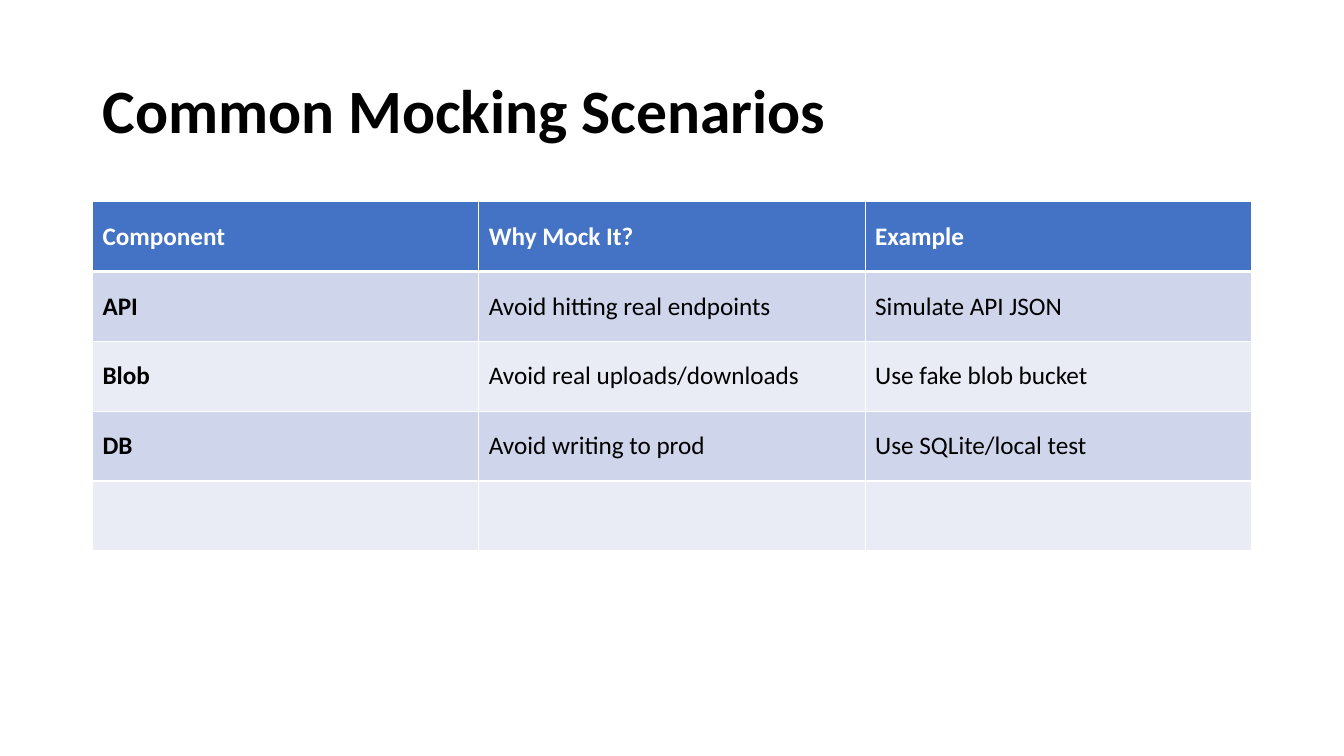
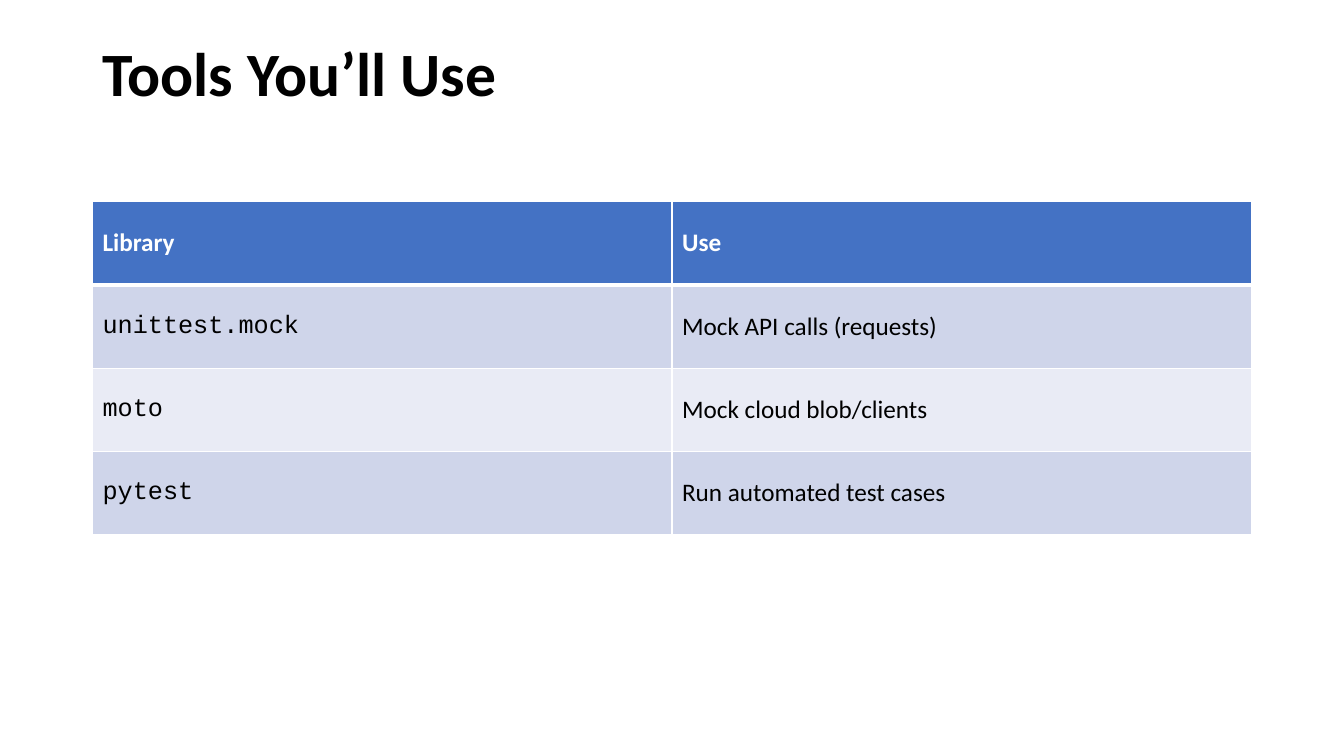
"""Build two slides on mocking: common scenarios and the tools to use."""
from dataclasses import dataclass

from lxml import etree
from pptx import Presentation
from pptx.dml.color import RGBColor
from pptx.enum.text import MSO_ANCHOR, MSO_AUTO_SIZE, PP_ALIGN
from pptx.oxml.ns import qn
from pptx.util import Cm, Pt

MIDDLE = MSO_ANCHOR.MIDDLE
NO_AUTOFIT = MSO_AUTO_SIZE.NONE
LEFT = PP_ALIGN.LEFT
TITLE_ONLY = 5


@dataclass(frozen=True)
class Theme:
    ink: str = "000000"
    paper: str = "FFFFFF"
    header: str = "4472C4"
    bands: tuple = ("CFD5EA", "E9EBF5")
    body_font: str = "Calibri"
    code_font: str = "Courier New"
    title_size: int = 44
    table_size: int = 18
    rule: int = 1
    header_rule: int = 3


THEME = Theme()
MARGIN = Cm(2.33)
CONTENT_WIDTH = Cm(29.21)
TITLE_BOX = {"left": MARGIN, "top": Cm(1.02), "width": CONTENT_WIDTH, "height": Cm(3.68)}
TABLE_TOP = Cm(5.08)

SLIDES = [
    {
        "title": "Common Mocking Scenarios",
        "title_inset": Cm(0.13),
        "row_height": Cm(1.76),
        "first_column": {"bold": True},
        "rows": [
            ("Component", "Why Mock It?", "Example"),
            ("API", "Avoid hitting real endpoints", "Simulate API JSON"),
            ("Blob", "Avoid real uploads/downloads", "Use fake blob bucket"),
            ("DB", "Avoid writing to prod", "Use SQLite/local test"),
            ("", "", ""),
        ],
    },
    {
        "title": "Tools You’ll Use",
        "title_inset": Cm(1.98),
        "row_height": Cm(2.1),
        "first_column": {"name": THEME.code_font},
        "rows": [
            ("Library", "Use"),
            ("unittest.mock", "Mock API calls (requests)"),
            ("moto", "Mock cloud blob/clients"),
            ("pytest", "Run automated test cases"),
        ],
    },
]


def apply_format(target, values):
    for attribute, value in values.items():
        setattr(target, attribute, value)


def add_borders(cell, widths):
    properties = cell._tc.get_or_add_tcPr()
    for side, width in widths.items():
        line = etree.SubElement(properties, qn(f"a:ln{side}"), w=str(Pt(width)))
        fill = etree.SubElement(line, qn("a:solidFill"))
        etree.SubElement(fill, qn("a:srgbClr"), val=THEME.paper)


deck = Presentation()
apply_format(deck, {"slide_width": Cm(33.87), "slide_height": Cm(19.05)})

for content in SLIDES:
    slide = deck.slides.add_slide(deck.slide_layouts[TITLE_ONLY])

    title = slide.shapes.title
    apply_format(title, TITLE_BOX)
    apply_format(title.text_frame, {
        "text": content["title"],
        "word_wrap": True,
        "auto_size": NO_AUTOFIT,
        "vertical_anchor": MIDDLE,
        "margin_bottom": content["title_inset"],
    })
    heading = title.text_frame.paragraphs[0]
    apply_format(heading, {"alignment": LEFT, "line_spacing": 0.9})
    heading_font = heading.runs[0].font
    apply_format(heading_font, {
        "name": THEME.body_font, "size": Pt(THEME.title_size), "bold": True,
    })
    heading_font.color.rgb = RGBColor.from_string(THEME.ink)

    rows = content["rows"]
    table = slide.shapes.add_table(
        len(rows), len(rows[0]), MARGIN, TABLE_TOP,
        CONTENT_WIDTH, content["row_height"] * len(rows),
    ).table

    for row_index, row in enumerate(rows):
        is_header = row_index == 0
        fill_color = THEME.header if is_header else THEME.bands[(row_index - 1) % 2]
        text_color = THEME.paper if is_header else THEME.ink
        borders = {
            "L": THEME.rule,
            "R": THEME.rule,
            "T": THEME.header_rule if row_index == 1 else THEME.rule,
            "B": THEME.header_rule if is_header else THEME.rule,
        }
        for column_index, text in enumerate(row):
            cell = table.cell(row_index, column_index)
            apply_format(cell, {"text": text, "vertical_anchor": MIDDLE})
            add_borders(cell, borders)
            cell.fill.solid()
            cell.fill.fore_color.rgb = RGBColor.from_string(fill_color)
            font_values = {
                "name": THEME.body_font,
                "size": Pt(THEME.table_size),
                "bold": is_header,
            }
            if column_index == 0 and not is_header:
                font_values.update(content["first_column"])
            for run in cell.text_frame.paragraphs[0].runs:
                apply_format(run.font, font_values)
                run.font.color.rgb = RGBColor.from_string(text_color)

deck.save("out.pptx")
